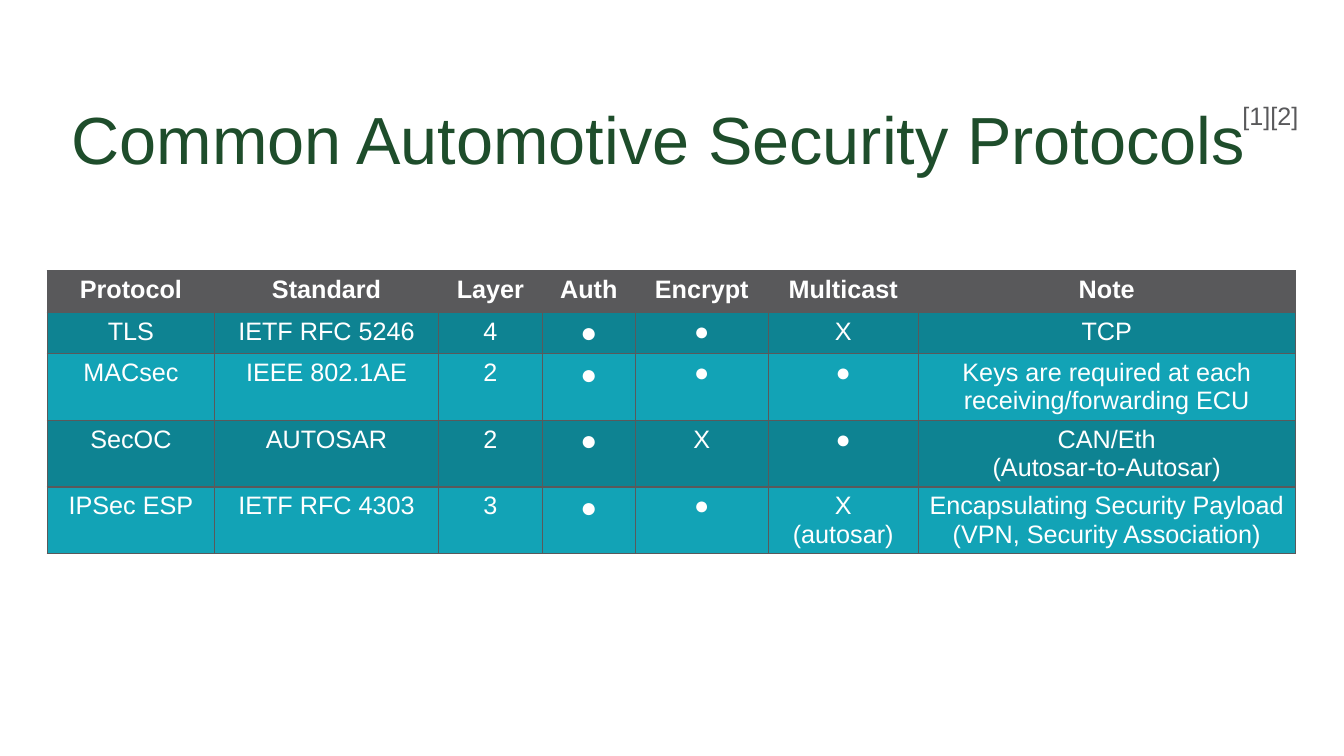
from lxml import etree
from pptx import Presentation
from pptx.dml.color import RGBColor
from pptx.enum.text import MSO_ANCHOR, PP_ALIGN
from pptx.oxml.ns import qn
from pptx.util import Cm, Pt

FONT = "Arial"
WHITE, GREY, GREEN = "FFFFFF", "59595B", "1E4D2B"
BANDS = ["0E8392", "12A3B6"]
TITLE = "Common Automotive Security Protocols"
CITATION = "[1][2]"
ROWS = [
    ("Protocol", "Standard", "Layer", "Auth", "Encrypt", "Multicast", "Note"),
    ("TLS", "IETF RFC 5246", "4", "●", "●", "X", "TCP"),
    ("MACsec", "IEEE 802.1AE", "2", "●", "●", "●",
     "Keys are required at each receiving/forwarding ECU"),
    ("SecOC", "AUTOSAR", "2", "●", "X", "●", "CAN/Eth\n(Autosar-to-Autosar)"),
    ("IPSec ESP", "IETF RFC 4303", "3", "●", "●", "X\n(autosar)",
     "Encapsulating Security Payload\n(VPN, Security Association)"),
]
COL_WIDTHS = [4.22, 5.64, 2.62, 2.34, 3.35, 3.78, 9.5]
ROW_HEIGHTS = [1.04, 1.04, 1.68, 1.68, 1.68]
AUTH_COL = 3


def rgb(color):
    return RGBColor.from_string(color)


def format_text(tf, size, color, bold=False, align=PP_ALIGN.LEFT):
    for p in tf.paragraphs:
        p.alignment = align
        for r in p.runs:
            r.font.name, r.font.size, r.font.bold = FONT, Pt(size), bold
            r.font.color.rgb = rgb(color)


def add_text(s, text, box, size, color):
    tf = s.shapes.add_textbox(*map(Cm, box)).text_frame
    tf.word_wrap = True
    tf.text = text
    format_text(tf, size, color)
    return tf


def add_borders(cell, color, width):
    """Outline all four sides; lines go ahead of the fill in the cell properties."""
    tc_pr = cell._tc.get_or_add_tcPr()
    for i, side in enumerate(("lnL", "lnR", "lnT", "lnB")):
        ln = etree.Element(qn(f"a:{side}"), w=str(Pt(width)))
        fill = etree.SubElement(ln, qn("a:solidFill"))
        etree.SubElement(fill, qn("a:srgbClr"), val=color)
        tc_pr.insert(i, ln)


def add_protocol_table(s):
    size = sum(COL_WIDTHS), sum(ROW_HEIGHTS)
    table = s.shapes.add_table(len(ROWS), len(COL_WIDTHS), Cm(1.19), Cm(6.83),
                               *map(Cm, size)).table
    for col, width in zip(table.columns, COL_WIDTHS):
        col.width = Cm(width)
    for i, (row, height) in enumerate(zip(ROWS, ROW_HEIGHTS)):
        table.rows[i].height = Cm(height)
        header = i == 0
        for j, text in enumerate(row):
            cell = table.cell(i, j)
            cell.text_frame.text = text
            points = 20 if j == AUTH_COL and not header else 18
            format_text(cell.text_frame, points, WHITE, header, PP_ALIGN.CENTER)
            cell.fill.solid()
            cell.fill.fore_color.rgb = rgb(GREY if header else BANDS[(i - 1) % 2])
            add_borders(cell, GREY, 1)


def main():
    prs = Presentation()
    prs.slide_width, prs.slide_height = Cm(33.87), Cm(19.05)
    s = prs.slides.add_slide(prs.slide_layouts[6])
    add_protocol_table(s)
    title = add_text(s, TITLE, (1.55, 2.16, 30.78, 2.57), 47.6, GREEN)
    title.vertical_anchor = MSO_ANCHOR.BOTTOM
    title.margin_top = title.margin_bottom = Cm(0.25)
    add_text(s, CITATION, (31.06, 2.41, 1.98, 1.02), 18, GREY)
    prs.save("out.pptx")


if __name__ == "__main__":
    main()
